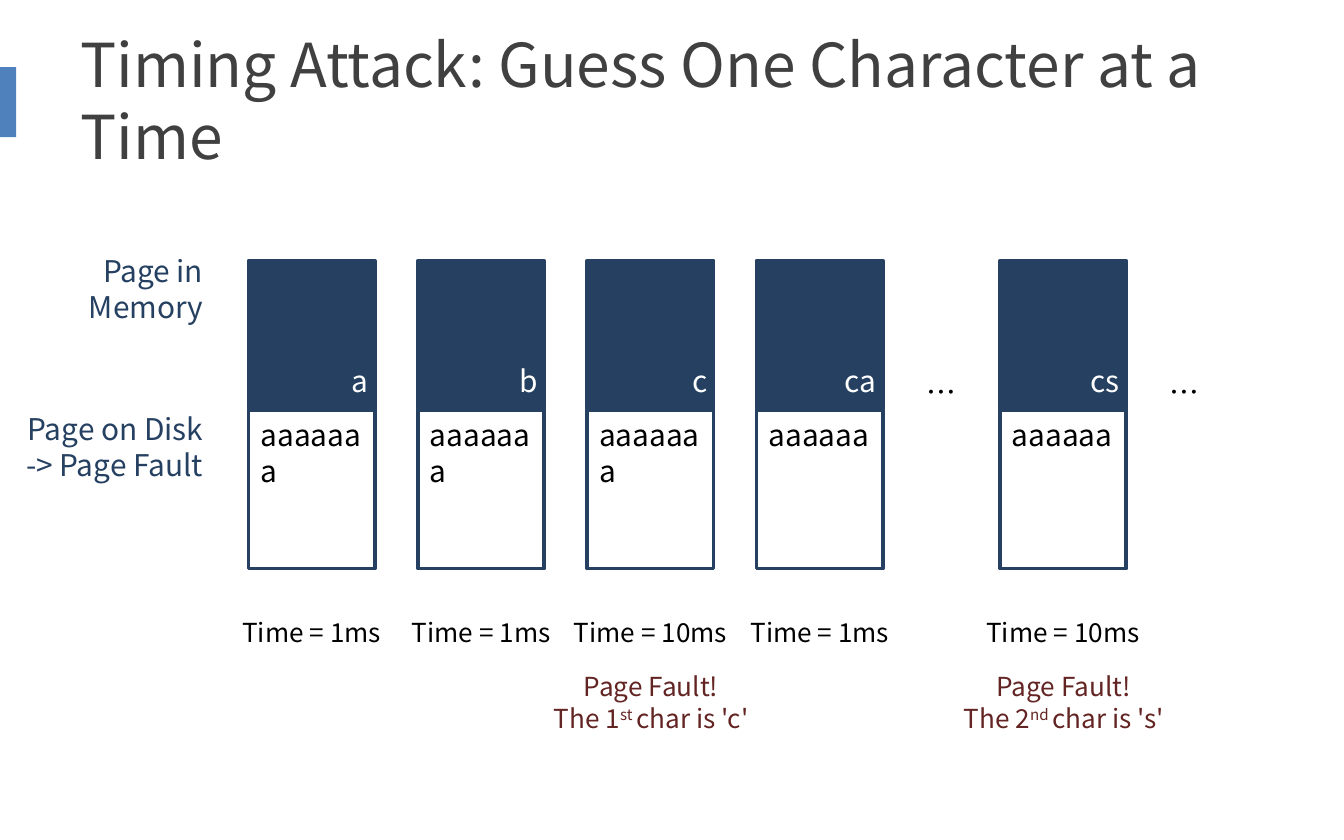
import dataclasses

import pptx
import pptx.dml.color
import pptx.enum.shapes
import pptx.enum.text
import pptx.util

Inches = pptx.util.Inches
Align = pptx.enum.text.PP_ALIGN
Anchor = pptx.enum.text.MSO_ANCHOR


@dataclasses.dataclass(frozen=True)
class Theme:
    """Font, colours and type sizes of the slide."""
    font: str = "Noto Sans CJK SC"
    accent: str = "4F81BD"
    heading: str = "404040"
    navy: str = "254061"
    alert: str = "632523"
    black: str = "000000"
    white: str = "FFFFFF"
    title_size: float = 32.4
    body_size: float = 16
    caption_size: float = 14
    outline: float = 2


THEME = Theme()
FIRST_LEFT, STEP, SECOND_LEFT = 1.85, 1.26, 7.44
PAGE_TOP, PAGE_WIDTH, MEMORY_HEIGHT, DISK_HEIGHT = 1.94, 0.94, 1.1, 1.18
GUESSES = [
    (FIRST_LEFT, "a", "aaaaaaa", "Time = 1ms", None),
    (FIRST_LEFT + STEP, "b", "aaaaaaa", "Time = 1ms", None),
    (FIRST_LEFT + 2 * STEP, "c", "aaaaaaa", "Time = 10ms", ("1", "st ", "char is 'c'")),
    (FIRST_LEFT + 3 * STEP, "ca", "aaaaaa", "Time = 1ms", None),
    (SECOND_LEFT, "cs", "aaaaaa", "Time = 10ms", ("2", "nd ", "char is 's'")),
]


def rgb(value):
    """Turn a hex string into a colour."""
    return pptx.dml.color.RGBColor.from_string(value)


def add_block(slide, box, fill=None, line=None):
    """Place a rectangle with an optional fill and outline."""
    block = slide.shapes.add_shape(
        pptx.enum.shapes.MSO_SHAPE.RECTANGLE, *map(Inches, box))
    block.shadow.inherit = False
    if fill:
        block.fill.solid()
        block.fill.fore_color.rgb = rgb(fill)
    else:
        block.fill.background()
    if line:
        block.line.color.rgb = rgb(line)
        block.line.width = pptx.util.Pt(THEME.outline)
    else:
        block.line.fill.background()


def add_label(slide, box, lines, size, color, align=Align.LEFT, anchor=Anchor.TOP):
    """Place text; each line is a list of (text, is_superscript) runs."""
    frame = slide.shapes.add_textbox(*map(Inches, box)).text_frame
    for name, value in {"word_wrap": True, "vertical_anchor": anchor}.items():
        setattr(frame, name, value)
    formats = {"name": THEME.font, "size": pptx.util.Pt(size)}
    for index, pieces in enumerate(lines):
        paragraph = frame.add_paragraph() if index else frame.paragraphs[0]
        paragraph.alignment = align
        for text, raised in pieces:
            run = paragraph.add_run()
            run.text = text
            for name, value in formats.items():
                setattr(run.font, name, value)
            run.font.color.rgb = rgb(color)
            if raised:
                run.font._element.set("baseline", "30000")


def add_line(slide, box, text, *style):
    """Place a single plain paragraph."""
    add_label(slide, box, [[(text, False)]], *style)


def add_heading(slide, box):
    """Place the title and the accent bar at the slide edge."""
    left, top, width, height = box
    add_block(slide, (-0.06, top + 0.25, 0.18, 0.52), fill=THEME.accent)
    add_line(slide, (left, top, width, height),
             "Timing Attack: Guess One Character at a Time",
             THEME.title_size, THEME.heading, Align.LEFT, Anchor.MIDDLE)


def add_row_names(slide, box):
    """Name the memory row and the disk row."""
    left, top, width, height = box
    style = THEME.body_size, THEME.navy, Align.RIGHT
    add_line(slide, (left + 0.35, top, width - 0.35, 0.64), "Page in Memory", *style)
    add_line(slide, (left, top + height - 0.64, width, 0.64),
             "Page on Disk -> Page Fault", *style)


def add_guess(slide, box, guess, rest, time, fault):
    """Draw one guess across two pages, with its time and any page fault."""
    left, top, width, height = box
    disk_top = top + height - DISK_HEIGHT
    middle = left + width / 2
    add_block(slide, (left, top, width, MEMORY_HEIGHT), THEME.navy, THEME.navy)
    add_block(slide, (left, disk_top, width, DISK_HEIGHT), line=THEME.navy)
    add_line(slide, (left + 0.27, disk_top - 0.4, 0.72, 0.37), guess,
             THEME.body_size, THEME.white, Align.RIGHT)
    add_line(slide, (left - 0.01, disk_top, 1.02, 0.37), rest,
             THEME.body_size, THEME.black)
    add_line(slide, (middle - 0.71, top + 2.6, 1.42, 0.34), time,
             THEME.caption_size, THEME.black, Align.CENTER)
    if fault:
        number, suffix, finding = fault
        add_label(slide, (middle - 0.86, top + 3, 1.73, 0.57),
                  [[("Page Fault!", False)],
                   [("The " + number, False), (suffix, True), (finding, False)]],
                  THEME.caption_size, THEME.alert, Align.CENTER)


def add_ellipsis(slide, box):
    """Mark the guesses that are skipped."""
    add_line(slide, box, "…", THEME.body_size, THEME.black, Align.CENTER)


def main():
    """Build and save the slide."""
    deck = pptx.Presentation()
    deck.slide_width, deck.slide_height = Inches(10), Inches(6.25)
    slide = deck.slides.add_slide(deck.slide_layouts[6])
    add_heading(slide, (0.5, 0.25, 9, 0.98))
    add_row_names(slide, (0, 1.83, 1.61, 1.82))
    pages_height = MEMORY_HEIGHT + DISK_HEIGHT + 0.01
    for left, *content in GUESSES:
        add_guess(slide, (left, PAGE_TOP, PAGE_WIDTH, pages_height), *content)
    for left in (FIRST_LEFT + 3 * STEP, SECOND_LEFT):
        add_ellipsis(slide, (left + PAGE_WIDTH, 2.73, 0.87, 0.37))
    deck.save("out.pptx")


if __name__ == "__main__":
    main()
